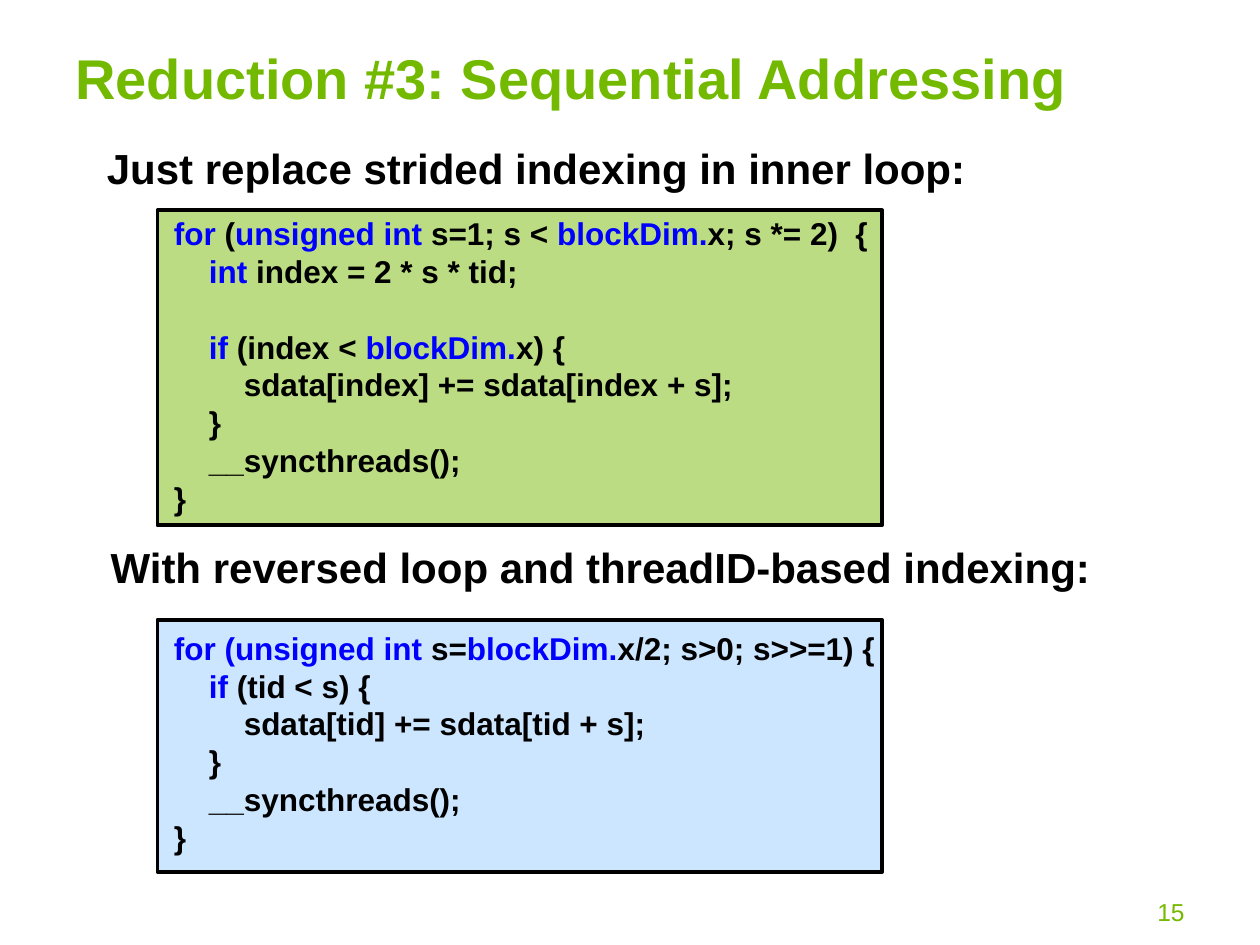
from dataclasses import dataclass

from lxml import etree
from pptx import Presentation
from pptx.dml.color import RGBColor
from pptx.enum.shapes import MSO_SHAPE
from pptx.enum.text import MSO_ANCHOR, PP_ALIGN
from pptx.oxml.ns import qn
from pptx.util import Inches, Pt

RECTANGLE = MSO_SHAPE.RECTANGLE
TOP = MSO_ANCHOR.TOP
LEFT, RIGHT = PP_ALIGN.LEFT, PP_ALIGN.RIGHT

FONT = "Arial"
LINE_HEIGHT = 1.2  # line pitch as a multiple of the text size
CODE_SIZE = 18
FILL_OPACITY = 49  # percent
COLORS = {
    "title": "73B900",
    "green": "76B900",
    "blue": "99CCFF",
    "keyword": "0000FF",
    "black": "000000",
}


@dataclass
class Label:
    text: str
    left: float
    top: float
    width: float
    height: float
    size: int
    color: str = "black"
    bold: bool = True
    alignment: PP_ALIGN = LEFT


@dataclass
class CodePanel:
    top: float
    height: float
    inset_top: float
    fill: str
    lines: list[str]  # keywords stand between bars


LABELS = [
    Label("Reduction #3: Sequential Addressing", 0.5, 0.3, 8.33, 0.63, 32, "title"),
    Label("Just replace strided indexing in inner loop:", 0.75, 1.08, 7.2, 0.5, 24),
    Label("With reversed loop and threadID-based indexing:", 0.78, 4.25, 8.2, 0.5, 24),
    Label("15", 7.17, 7.07, 2.33, 0.35, 14, "green", bold=False, alignment=RIGHT),
]

PANELS = [
    CodePanel(1.67, 2.5, 0.03, "green", [
        "|for |(|unsigned int |s=1; s < |blockDim.|x; s *= 2)  {",
        "    |int |index = 2 * s * tid;",
        "",
        "    |if |(index < |blockDim.|x) {",
        "        sdata[index] += sdata[index + s];",
        "    }",
        "    __syncthreads();",
        "}",
    ]),
    CodePanel(4.92, 2, 0.07, "blue", [
        "|for (unsigned int |s=|blockDim.|x/2; s>0; s>>=1) {",
        "    |if |(tid < s) {",
        "        sdata[tid] += sdata[tid + s];",
        "    }",
        "    __syncthreads();",
        "}",
    ]),
]


def rgb(name: str) -> RGBColor:
    return RGBColor.from_string(COLORS[name])


def format_paragraph(paragraph, size: int, alignment: PP_ALIGN) -> None:
    paragraph.alignment = alignment
    paragraph.line_spacing = Pt(size * LINE_HEIGHT)
    paragraph.font.size = Pt(size)


def format_run(run, size: int, color: str, bold: bool) -> None:
    run.font.name = FONT
    run.font.size = Pt(size)
    run.font.bold = bold
    run.font.color.rgb = rgb(color)


def add_label(slide, label: Label) -> None:
    box = slide.shapes.add_textbox(Inches(label.left), Inches(label.top),
                                   Inches(label.width), Inches(label.height))
    text_frame = box.text_frame
    text_frame.word_wrap = True
    text_frame.text = label.text
    paragraph = text_frame.paragraphs[0]
    format_paragraph(paragraph, label.size, label.alignment)
    format_run(paragraph.runs[0], label.size, label.color, label.bold)


def add_code_panel(slide, panel: CodePanel) -> None:
    shape = slide.shapes.add_shape(RECTANGLE, Inches(1.25), Inches(panel.top),
                                   Inches(5.75), Inches(panel.height))
    shape.shadow.inherit = False
    shape.line.color.rgb = rgb("black")
    shape.line.width = Pt(2.25)

    # Translucent fill
    shape.fill.solid()
    shape.fill.fore_color.rgb = rgb(panel.fill)
    fill_color = shape.element.spPr.find(qn("a:solidFill")).find(qn("a:srgbClr"))
    etree.SubElement(fill_color, qn("a:alpha"), val=str(FILL_OPACITY * 1000))

    # Code lines
    text_frame = shape.text_frame
    text_frame.word_wrap = True
    text_frame.vertical_anchor = TOP
    text_frame.margin_left = Inches(0.13)
    text_frame.margin_top = Inches(panel.inset_top)
    text_frame.margin_right = text_frame.margin_bottom = 0
    for number, line in enumerate(panel.lines):
        paragraph = text_frame.add_paragraph() if number else text_frame.paragraphs[0]
        format_paragraph(paragraph, CODE_SIZE, LEFT)
        for position, part in enumerate(line.split("|")):
            if part:
                run = paragraph.add_run()
                run.text = part
                format_run(run, CODE_SIZE, "keyword" if position % 2 else "black", True)


def main() -> None:
    presentation = Presentation()
    presentation.slide_width = Inches(10)
    presentation.slide_height = Inches(7.5)
    slide = presentation.slides.add_slide(presentation.slide_layouts[6])

    for panel in PANELS:
        add_code_panel(slide, panel)
    for label in LABELS:
        add_label(slide, label)

    presentation.save("out.pptx")


if __name__ == "__main__":
    main()
